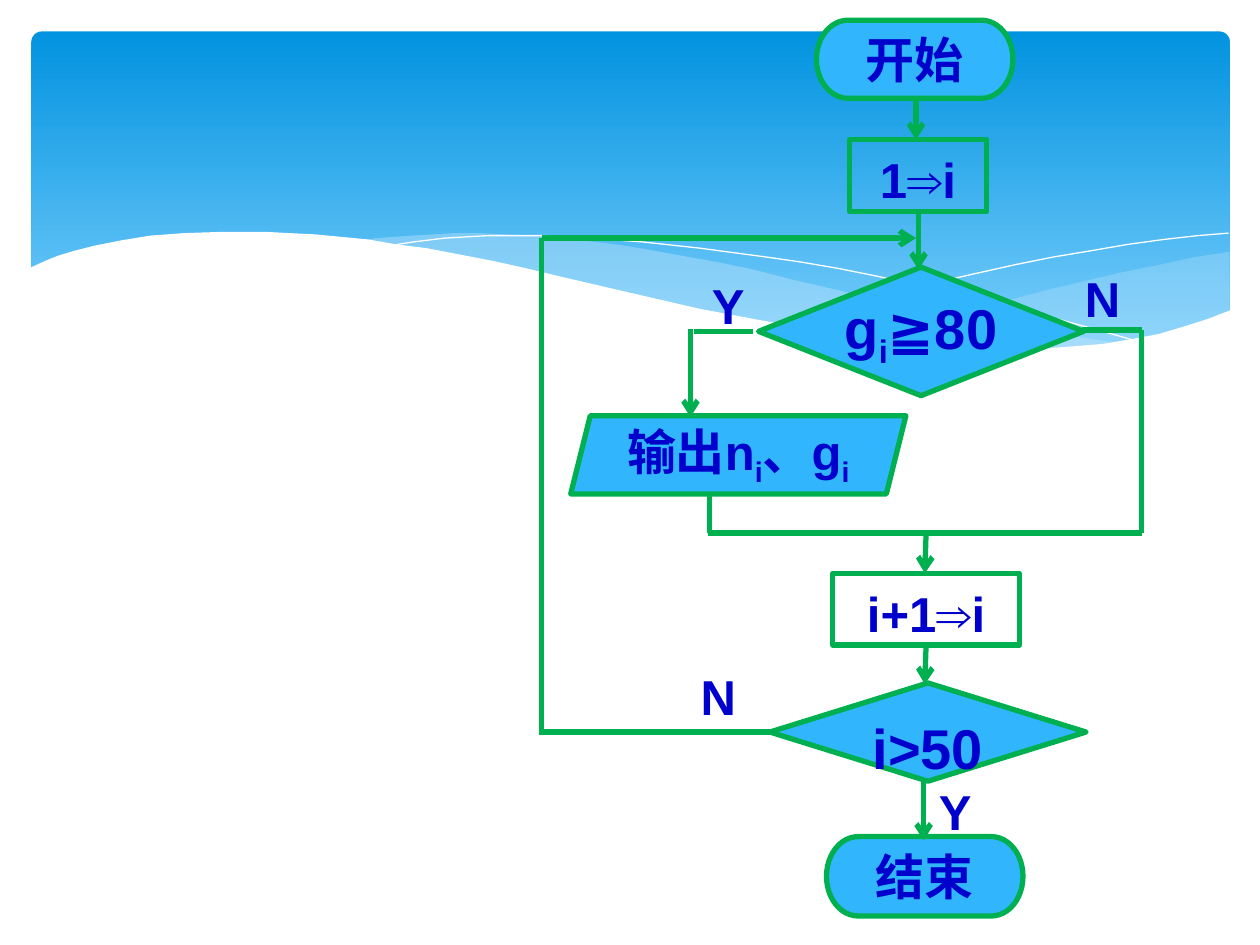
from lxml.etree import SubElement
from pptx import Presentation
from pptx.dml.color import RGBColor
from pptx.enum.shapes import MSO_CONNECTOR, MSO_SHAPE as Shape
from pptx.enum.text import MSO_ANCHOR as Anchor, PP_ALIGN as Align
from pptx.oxml.ns import qn
from pptx.util import Pt

SCALE = 9144
COLORS = {
    "sky_top": "0293E0",
    "sky_bottom": "83D3FE",
    "mist": "C6E7FC",
    "white": "FFFFFF",
    "node": "31B6FD",
    "green": "00B050",
    "text": "0000CC",
}

RIGHT_WAVE = [
    (975, 200), (948, 204), (921, 210), (891, 216), (861, 223), (832, 230),
    (805, 237), (753, 248), (706, 257), (661, 265), (691, 269), (718, 272),
    (745, 275), (769, 277), (803, 278), (835, 277), (863, 275), (889, 272),
    (913, 267), (935, 262), (949, 257), (963, 252), (976, 247), (976, 200),
]
LEFT_WAVE = [
    (893, 273), (866, 269), (837, 265), (807, 260), (775, 254), (741, 247),
    (706, 240), (668, 231), (629, 222), (598, 214), (569, 208), (541, 203),
    (514, 198), (489, 194), (464, 191), (441, 189), (420, 187), (399, 186),
    (380, 185), (361, 185), (328, 187), (299, 189), (286, 191), (323, 196),
    (362, 203), (404, 211), (449, 222), (491, 232), (530, 240), (566, 248),
    (601, 255), (634, 261), (665, 266), (695, 270), (722, 274), (748, 276),
    (773, 278), (807, 279), (838, 278), (867, 276),
]
LONG_CURVE = [
    (309, 195), (328, 192), (353, 189), (387, 187), (433, 187), (469, 189),
    (510, 192), (556, 197), (608, 204), (636, 208), (665, 213), (695, 219),
    (727, 226), (760, 233), (795, 242), (831, 251), (868, 261), (907, 272),
]
SHORT_CURVE = [
    (613, 257), (652, 246), (695, 235), (748, 223), (806, 210), (836, 204),
    (866, 199), (895, 194), (924, 190), (951, 187), (975, 185),
]
FOREGROUND = [
    (977, 246), (959, 253), (940, 259), (920, 265), (899, 269), (875, 273),
    (850, 275), (823, 277), (793, 276), (761, 275), (726, 272), (688, 268),
    (647, 262), (603, 254), (555, 245), (503, 233), (447, 220), (418, 213),
    (391, 207), (365, 202), (339, 197), (315, 194), (292, 190), (271, 188),
    (250, 186), (230, 185), (211, 184), (176, 184), (146, 185), (119, 187),
    (95, 191), (75, 195), (59, 199), (46, 203), (36, 207), (23, 213),
    (23, 329), (977, 329),
]


class Flowchart:
    font = "Arial"
    line_width = Pt(3)

    def __init__(self, slide):
        self.slide = slide

    def color(self, name):
        return RGBColor.from_string(COLORS[name])

    def paint(self, shape, fill=None, line=None, width=line_width):
        shape.shadow.inherit = False
        if fill:
            shape.fill.solid()
            shape.fill.fore_color.rgb = self.color(fill)
        else:
            shape.fill.background()
        if line:
            shape.line.color.rgb = self.color(line)
            shape.line.width = width
        else:
            shape.line.fill.background()

    def sky(self, *bounds):
        shape = self.slide.shapes.add_shape(
            Shape.ROUNDED_RECTANGLE, *(v * SCALE for v in bounds))
        self.paint(shape)
        shape.adjustments[0] = 0.03
        shape.fill.gradient()
        shape.fill.gradient_angle = 270
        for stop, name in zip(shape.fill.gradient_stops, ("sky_top", "sky_bottom")):
            stop.color.rgb = self.color(name)

    def outline(self, points, fill=None, line=None, opacity=100):
        builder = self.slide.shapes.build_freeform(*points[0], scale=SCALE)
        builder.add_line_segments(points[1:], close=fill is not None)
        shape = builder.convert_to_shape()
        self.paint(shape, fill, line, 0)
        if opacity < 100:
            for color in shape._element.spPr.iter(qn("a:srgbClr")):
                SubElement(color, qn("a:alpha")).set("val", str(opacity * 1000))

    def add_text(self, shape, spans, size, anchor, top):
        box = shape.text_frame
        box.word_wrap = False
        box.vertical_anchor = anchor
        box.margin_left = box.margin_right = box.margin_bottom = 0
        box.margin_top = top * SCALE
        para = box.paragraphs[0]
        para.alignment = Align.CENTER
        for index, text in enumerate(spans):
            span = para.add_run()
            span.text = text
            span.font.name = self.font
            span.font.size = Pt(size)
            span.font.bold = True
            span.font.color.rgb = self.color("text")
            if index % 2:
                span.font._element.set("baseline", "-25000")

    def node(self, kind, bounds, *spans, fill="node", size=28,
             anchor=Anchor.MIDDLE, top=0):
        shape = self.slide.shapes.add_shape(kind, *(v * SCALE for v in bounds))
        self.paint(shape, fill, "green")
        self.add_text(shape, spans, size, anchor, top)

    def label(self, left, top, text):
        shape = self.slide.shapes.add_textbox(
            *(v * SCALE for v in (left, top, 62, 57)))
        self.add_text(shape, [text], 28, Anchor.TOP, 8)

    def connect(self, *ends, arrow=False):
        connector = self.slide.shapes.add_connector(
            MSO_CONNECTOR.STRAIGHT, *(v * SCALE for v in ends))
        connector.line.color.rgb = self.color("green")
        connector.line.width = self.line_width
        properties = connector._element.spPr
        if arrow:
            SubElement(properties.find(qn("a:ln")),
                       qn("a:tailEnd")).set("type", "arrow")
        SubElement(properties, qn("a:effectLst"))


def main():
    deck = Presentation()
    deck.slide_width, deck.slide_height = 1000 * SCALE, 750 * SCALE
    page = deck.slides.add_slide(deck.slide_layouts[6])
    chart = Flowchart(page)

    chart.sky(25, 25, 951, 270)
    chart.outline(RIGHT_WAVE, fill="mist", opacity=29)
    chart.outline(LEFT_WAVE, fill="mist", opacity=40)
    chart.outline(LONG_CURVE, line="white")
    chart.outline(SHORT_CURVE, line="white")
    chart.outline(FOREGROUND, fill="white")

    chart.node(Shape.FLOWCHART_TERMINATOR, (648, 16, 156, 62), "开始")
    chart.node(Shape.FLOWCHART_TERMINATOR, (656, 664, 156, 63), "结束")
    step = {"fill": None, "anchor": Anchor.TOP, "top": 8}
    chart.node(Shape.RECTANGLE, (674, 111, 109, 57), "1⇒i", **step)
    chart.node(Shape.RECTANGLE, (661, 455, 148, 57), "i+1⇒i", **step)
    chart.node(Shape.FLOWCHART_DECISION, (602, 212, 258, 102),
               "g", "i", "≧80", size=32)
    chart.node(Shape.FLOWCHART_DECISION, (611, 542, 251, 78), "i>50",
               size=32, anchor=Anchor.TOP, top=5)
    chart.node(Shape.PARALLELOGRAM, (453, 330, 266, 62),
               "输出n", "i", "、g", "i")

    for ends in [
        (598, 263, 551, 263), (906, 262, 859, 262), (906, 423, 906, 262),
        (563, 423, 563, 392), (906, 423, 562, 423), (611, 581, 428, 581),
        (430, 580, 430, 189),
    ]:
        chart.connect(*ends)
    for ends in [
        (727, 79, 727, 111), (729, 167, 729, 214), (548, 261, 548, 331),
        (735, 423, 734, 455), (735, 512, 734, 543), (733, 620, 733, 667),
        (430, 189, 727, 189),
    ]:
        chart.connect(*ends, arrow=True)

    for left, top, text in [
        (547, 211, "Y"), (844, 205, "N"), (539, 521, "N"), (727, 612, "Y"),
    ]:
        chart.label(left, top, text)

    deck.save("out.pptx")


if __name__ == "__main__":
    main()
